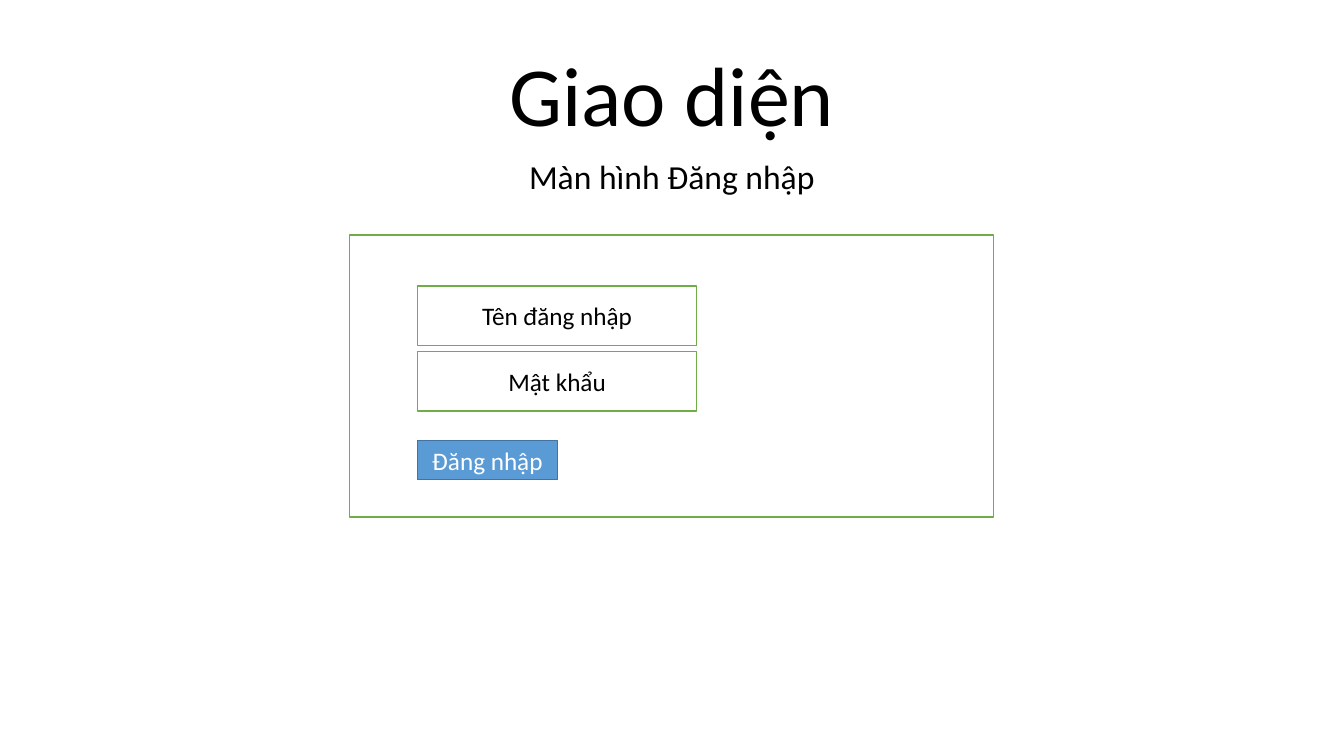
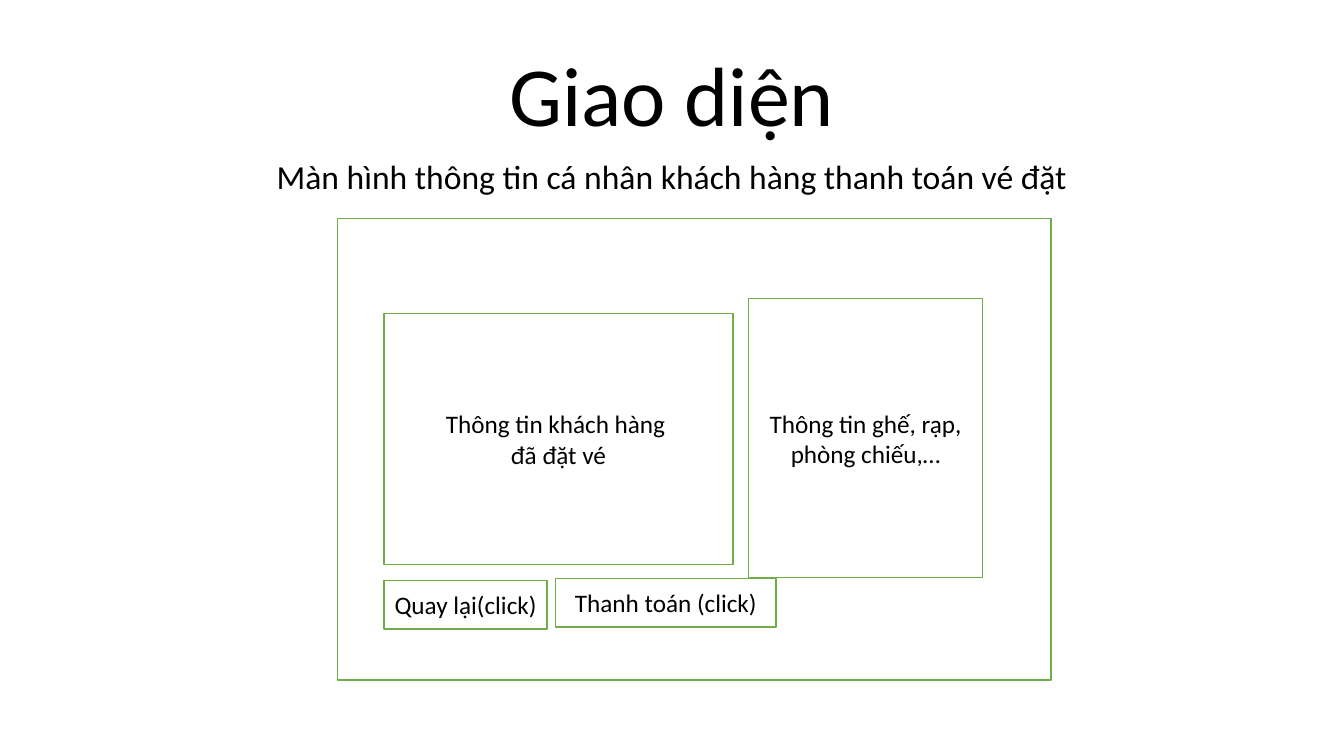
from pptx import Presentation
from pptx.dml.color import RGBColor
from pptx.enum.shapes import MSO_SHAPE
from pptx.enum.text import MSO_ANCHOR, PP_ALIGN
from pptx.util import Cm, Pt

# Shared look
FONT = "Calibri"
BLACK, WHITE = "000000", "FFFFFF"
GREEN, BLUE, DARK_BLUE = "70AD47", "5B9BD5", "43739E"
HEADING_LEFT, HEADING_WIDTH = 4.23, 25.4


def color(hex_text):
    return RGBColor.from_string(hex_text)


def write_text(shape, text, size=18, font_color=BLACK, anchor=MSO_ANCHOR.MIDDLE,
               line_spacing=None, space_before=None):
    """Fill a shape with centred text, one paragraph per line."""
    frame = shape.text_frame
    frame.word_wrap = True
    frame.vertical_anchor = anchor
    frame.text = text
    for paragraph in frame.paragraphs:
        paragraph.alignment = PP_ALIGN.CENTER
        paragraph.line_spacing = line_spacing
        if space_before is not None:
            paragraph.space_before = Pt(space_before)
        font = paragraph.font
        font.name = FONT
        font.size = Pt(size)
        font.color.rgb = color(font_color)


def add_heading(slide, text, top, height, **text_format):
    shape = slide.shapes.add_textbox(
        Cm(HEADING_LEFT), Cm(top), Cm(HEADING_WIDTH), Cm(height))
    write_text(shape, text, line_spacing=0.9, **text_format)


def add_box(slide, left, top, width, height, text="", fill=WHITE, line=GREEN,
            **text_format):
    shape = slide.shapes.add_shape(
        MSO_SHAPE.RECTANGLE, Cm(left), Cm(top), Cm(width), Cm(height))
    shape.shadow.inherit = False
    shape.fill.solid()
    shape.fill.fore_color.rgb = color(fill)
    shape.line.color.rgb = color(line)
    shape.line.width = Pt(1)
    if text:
        write_text(shape, text, **text_format)


def add_screen_slide(presentation, subtitle):
    """Start a slide with the common title and the name of its screen."""
    slide = presentation.slides.add_slide(presentation.slide_layouts[6])
    add_heading(slide, "Giao diện", 0.94, 2.84, size=60, anchor=MSO_ANCHOR.BOTTOM)
    add_heading(slide, subtitle, 3.91, 3.2, size=24, anchor=MSO_ANCHOR.TOP,
                space_before=10)
    return slide


def build_login(presentation):
    slide = add_screen_slide(presentation, "Màn hình Đăng nhập")
    add_box(slide, 8.81, 5.92, 16.23, 7.11)

    # Input fields, then the login button on the same left edge
    left, field_top, field_step = 10.52, 7.21, 1.65
    for row, label in enumerate(("Tên đăng nhập", "Mật khẩu")):
        add_box(slide, left, field_top + row * field_step, 7.04, 1.5, label)
    add_box(slide, left, 11.1, 3.53, 0.99, "Đăng nhập",
            fill=BLUE, line=DARK_BLUE, font_color=WHITE)


def build_payment(presentation):
    slide = add_screen_slide(
        presentation, "Màn hình thông tin cá nhân khách hàng thanh toán vé đặt")
    add_box(slide, 8.51, 5.51, 17.98, 11.63)

    # Information panels
    left, button_height = 9.68, 1.22
    add_box(slide, left, 7.9, 8.79, 6.32, "Thông tin khách hàng \nđã đặt vé")
    add_box(slide, 18.87, 7.52, 5.89, 7.04, "Thông tin ghế, rạp, phòng chiếu,…")

    # Buttons
    add_box(slide, 14, 14.58, 5.56, button_height, "Thanh toán (click)")
    add_box(slide, left, 14.63, 4.11, button_height, "Quay lại(click)")


def main():
    presentation = Presentation()
    presentation.slide_width = Cm(33.87)
    presentation.slide_height = Cm(19.05)
    build_login(presentation)
    build_payment(presentation)
    presentation.save("out.pptx")


main()
